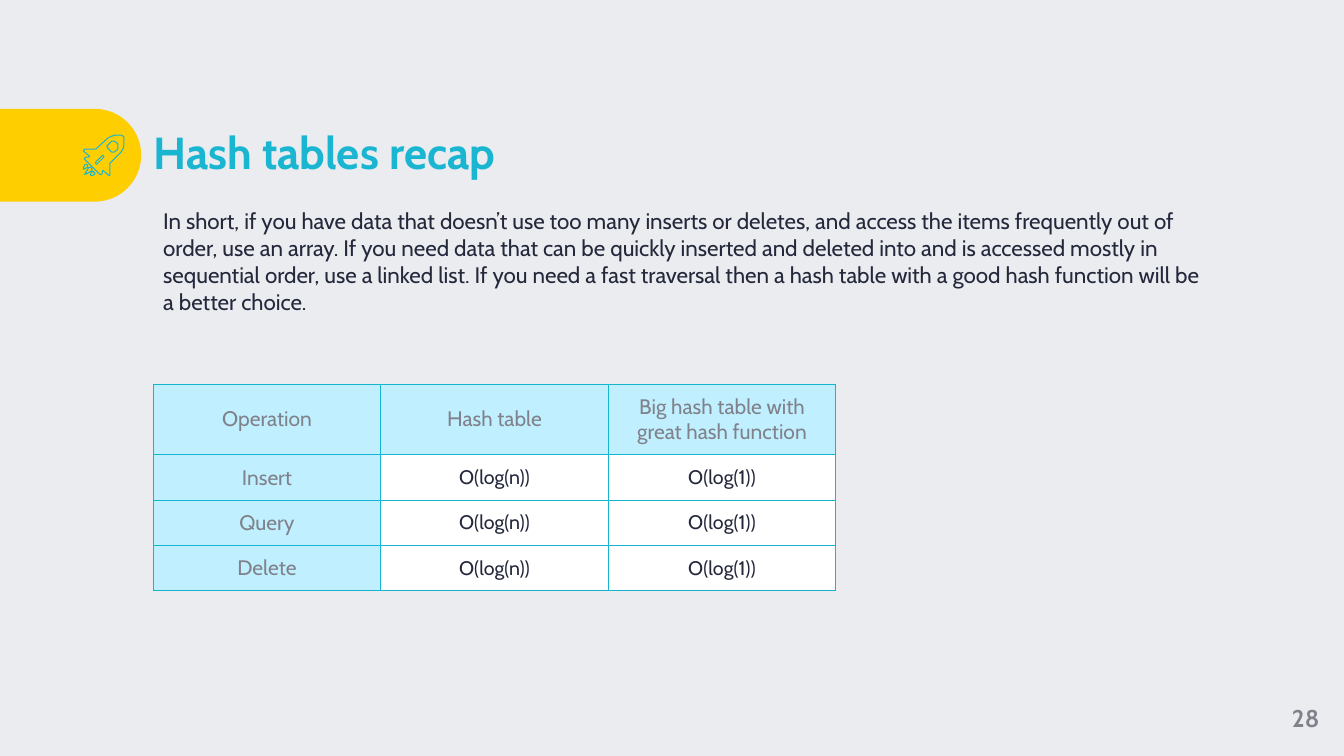
from lxml import etree
from pptx import Presentation
from pptx.dml.color import RGBColor
from pptx.enum.shapes import MSO_SHAPE
from pptx.enum.text import MSO_ANCHOR, PP_ALIGN
from pptx.oxml.ns import qn
from pptx.util import Inches, Pt

FONT = "Cabin"
COLORS = {
    "background": "EAECF0",
    "yellow": "FFCE00",
    "teal": "1AB6D1",
    "border": "15B5D1",
    "header": "C0F0FF",
    "white": "FFFFFF",
    "gray": "80828B",
    "ink": "24283B",
}
SUMMARY = (
    "In short, if you have data that doesn’t use too many inserts or deletes, "
    "and access the items frequently out of order, use an array. If you need data "
    "that can be quickly inserted and deleted into and is accessed mostly in "
    "sequential order, use a linked list. If you need a fast traversal then a hash "
    "table with a good hash function will be a better choice."
)
OPERATIONS = [
    ("Operation", "Hash table", "Big hash table with great hash function"),
    ("Insert", "O(log(n))", "O(log(1))"),
    ("Query", "O(log(n))", "O(log(1))"),
    ("Delete", "O(log(n))", "O(log(1))"),
]
ROCKET_BODY = [
    [(109, 174), (109, 162), (120, 151), (122, 148), (123, 144), (123, 136),
     (122, 135), (120, 134), (115, 134), (111, 135), (107, 137), (95, 148),
     (84, 148), (83, 149), (83, 150), (89, 155), (88, 156), (85, 156),
     (84, 157), (84, 158), (99, 173), (101, 173), (102, 169), (108, 174)],
    [(97, 162), (96, 163), (95, 162), (95, 161), (101, 155), (102, 154),
     (103, 155), (103, 156)],
    [(113, 151), (111, 151), (107, 147), (106, 145), (107, 144), (109, 142),
     (111, 140), (113, 140), (115, 141), (117, 143), (117, 147), (116, 149)],
]
ROCKET_FLAMES = [
    [(91, 167), (90, 166), (88, 166), (87, 168), (86, 170), (84, 173),
     (87, 172), (90, 170), (91, 170)],
    [(93, 171), (93, 170), (92, 170), (91, 171), (90, 172), (90, 174),
     (92, 174), (94, 173), (94, 171)],
    [(87, 164), (86, 163), (85, 163), (84, 164), (83, 166), (83, 168),
     (85, 167), (87, 166)],
]


def color(name):
    return RGBColor.from_string(COLORS[name])


def style(p, size, name, bold=False, align=PP_ALIGN.LEFT):
    p.alignment = align
    p.font.name = FONT
    p.font.size = Pt(size)
    p.font.bold = bold
    p.font.color.rgb = color(name)


def add_text(s, text, box, size, name, bold=False, align=PP_ALIGN.LEFT,
             anchor=MSO_ANCHOR.MIDDLE, inset=(0, 0), spacing=1.0):
    tf = s.shapes.add_textbox(*map(Inches, box)).text_frame
    tf.word_wrap = True
    tf.vertical_anchor = anchor
    tf.margin_left = tf.margin_right = Inches(inset[0])
    tf.margin_top = tf.margin_bottom = Inches(inset[1])
    p = tf.paragraphs[0]
    p.text = text
    p.line_spacing = spacing
    style(p, size, name, bold, align)


def add_tab(s):
    sp = s.shapes.add_shape(MSO_SHAPE.ROUND_2_SAME_RECTANGLE,
                            Inches(0.24), Inches(0.84), Inches(0.92), Inches(1.4))
    sp.rotation = 90
    sp.adjustments[0] = 0.5
    sp.adjustments[1] = 0
    sp.shadow.inherit = False
    sp.fill.solid()
    sp.fill.fore_color.rgb = color("yellow")
    sp.line.fill.background()


def add_outline(s, contours):
    builder = s.shapes.build_freeform(*contours[0][0], scale=Inches(0.01))
    for i, points in enumerate(contours):
        if i:
            builder.move_to(*points[0])
        builder.add_line_segments(points[1:], close=True)
    sp = builder.convert_to_shape()
    sp.shadow.inherit = False
    sp.fill.background()
    sp.line.color.rgb = color("teal")
    sp.line.width = Pt(0.75)


def set_borders(cell):
    tc_pr = cell._tc.get_or_add_tcPr()
    for i, side in enumerate(("a:lnL", "a:lnR", "a:lnT", "a:lnB")):
        ln = etree.Element(qn(side), w=str(Pt(0.75)))
        fill = etree.SubElement(ln, qn("a:solidFill"))
        etree.SubElement(fill, qn("a:srgbClr"), val=COLORS["border"])
        tc_pr.insert(i, ln)


def add_operations_table(s):
    table = s.shapes.add_table(len(OPERATIONS), 3, Inches(1.52), Inches(3.81),
                               Inches(6.77), Inches(2.05)).table
    table.first_row = False
    table.horz_banding = False
    for row, height in zip(table.rows, (0.7, 0.45, 0.45, 0.45)):
        row.height = Inches(height)
    for r, texts in enumerate(OPERATIONS):
        for c, text in enumerate(texts):
            heading = r == 0 or c == 0
            cell = table.cell(r, c)
            cell.vertical_anchor = MSO_ANCHOR.MIDDLE
            cell.margin_left = cell.margin_right = Inches(0.13)
            cell.margin_top = cell.margin_bottom = Inches(0.1)
            cell.fill.solid()
            cell.fill.fore_color.rgb = color("header" if heading else "white")
            set_borders(cell)
            p = cell.text_frame.paragraphs[0]
            p.text = text
            style(p, 15 if heading else 14, "gray" if heading else "ink",
                  align=PP_ALIGN.CENTER)


def main():
    prs = Presentation()
    prs.slide_width = Inches(13.33)
    prs.slide_height = Inches(7.5)
    s = prs.slides.add_slide(prs.slide_layouts[6])
    s.background.fill.solid()
    s.background.fill.fore_color.rgb = color("background")
    add_tab(s)
    add_text(s, "Hash tables recap", (1.52, 1.08, 10.51, 0.92), 32, "teal",
             bold=True, spacing=0.9)
    add_text(s, "28", (12.57, 6.75, 0.76, 0.75), 17.3, "gray", bold=True,
             align=PP_ALIGN.CENTER)
    add_outline(s, ROCKET_BODY)
    for flame in ROCKET_FLAMES:
        add_outline(s, [flame])
    add_text(s, SUMMARY, (1.52, 2.01, 10.51, 1.18), 16, "ink",
             anchor=MSO_ANCHOR.TOP, inset=(0.1, 0.05))
    add_operations_table(s)
    prs.save("out.pptx")


if __name__ == "__main__":
    main()
